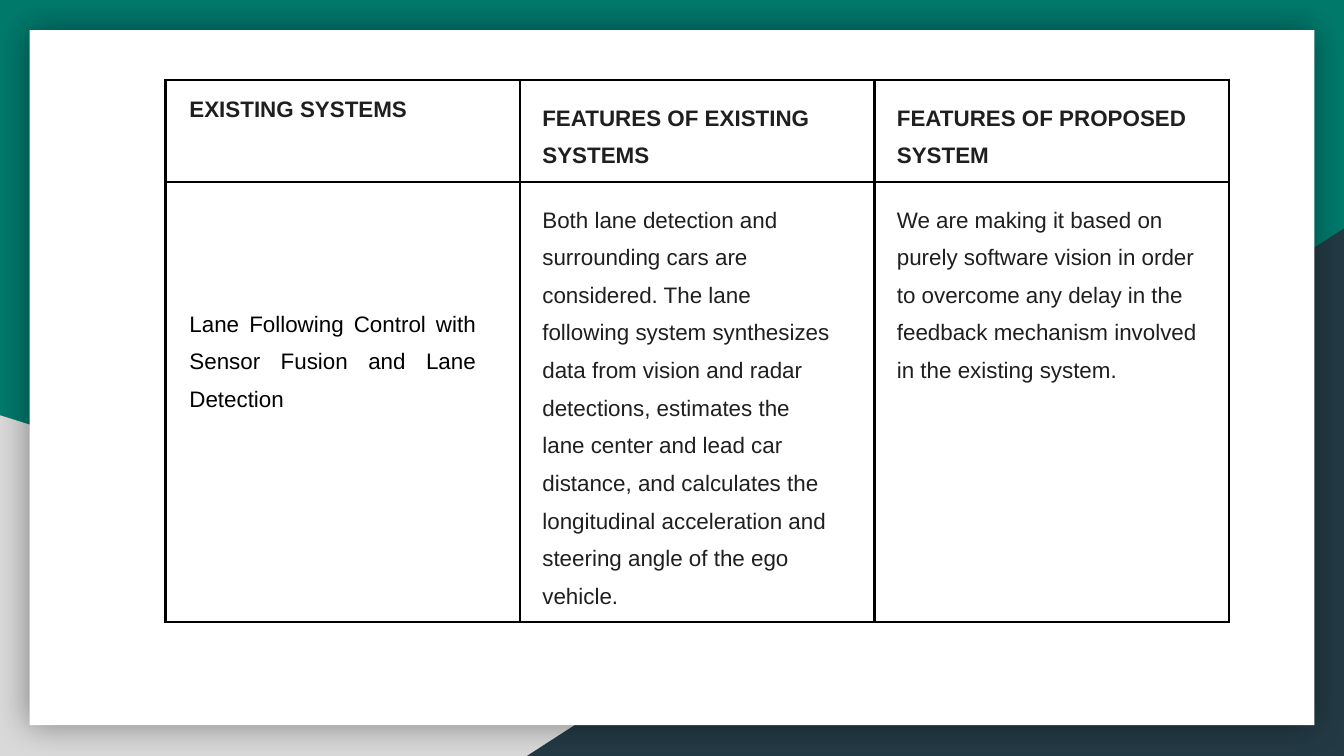
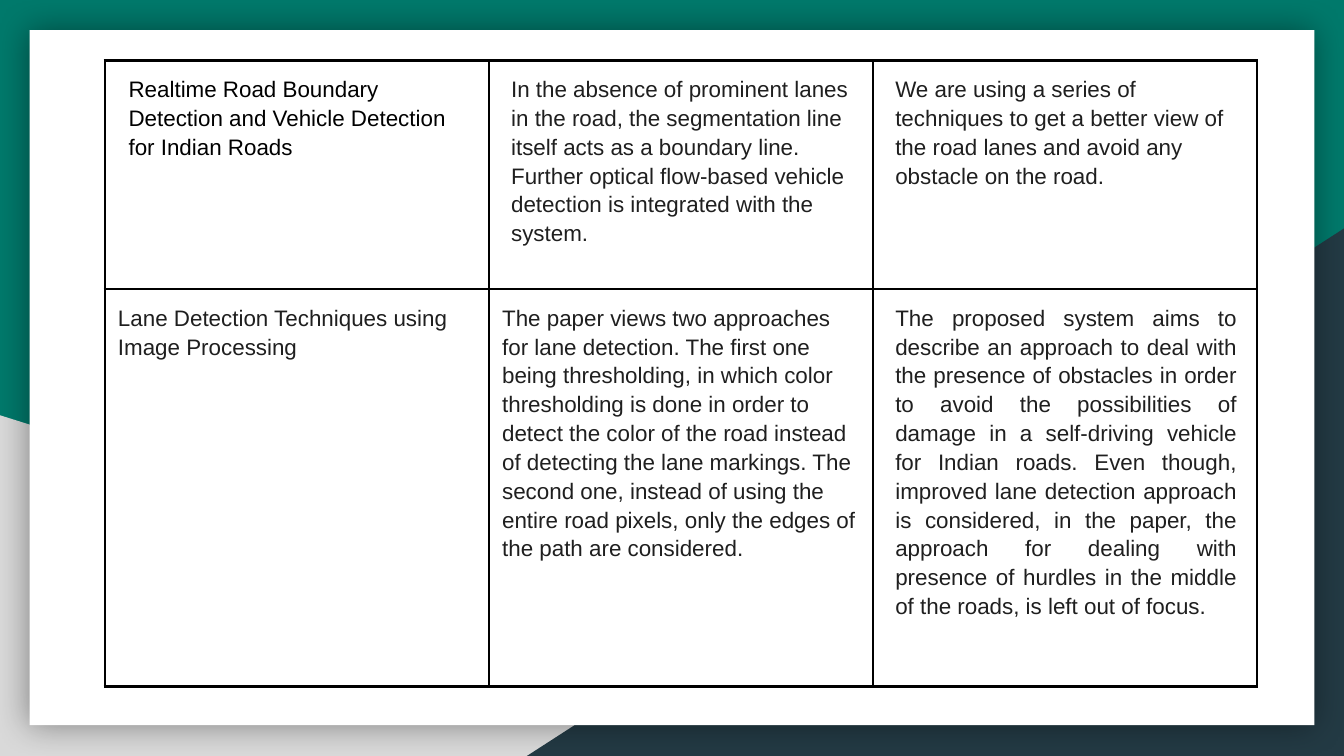
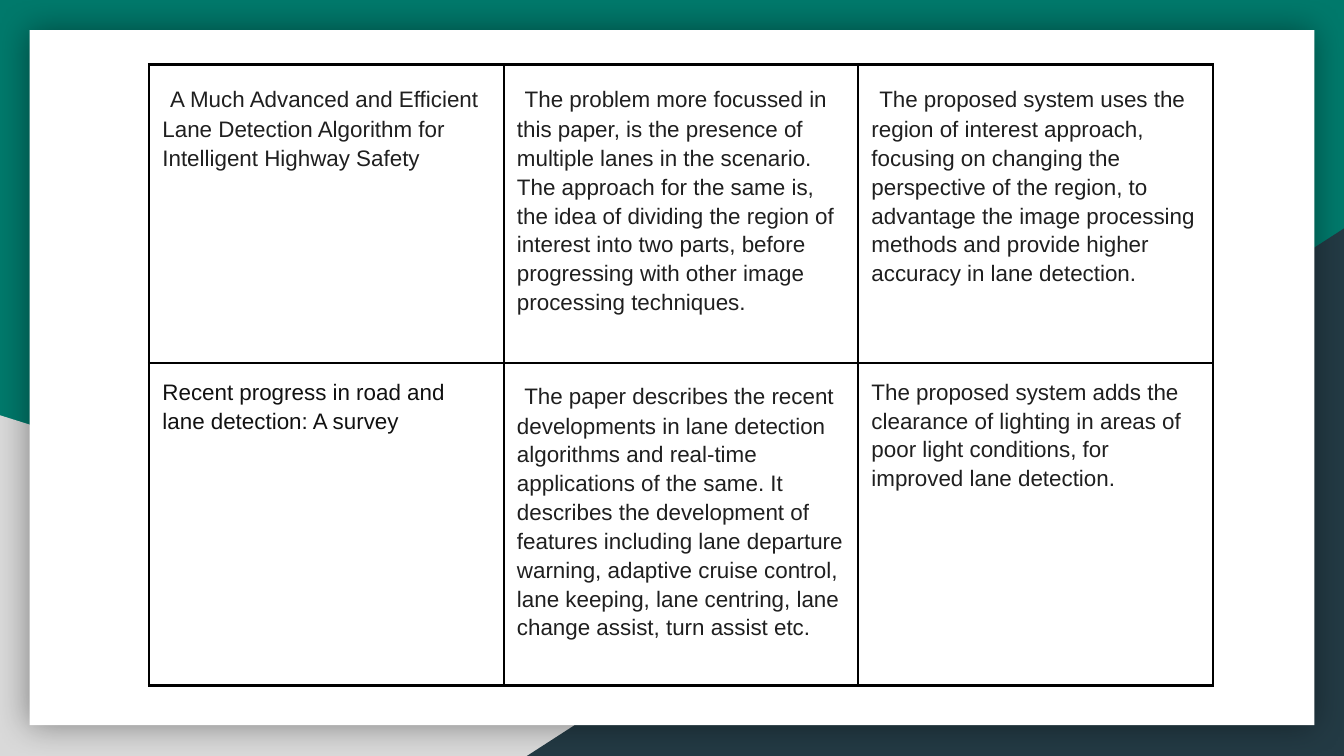
from lxml import etree
from pptx import Presentation
from pptx import util as u
from pptx.dml.color import RGBColor
from pptx.enum import shapes, text
from pptx.oxml.ns import qn

FONT = "Arial"
TEAL, SLATE, GREY, WHITE = "00796B", "233A44", "D9D9D9", "FFFFFF"
INK, BLACK, NEAR_BLACK = "1F1F1F", "000000", "111111"
SLIDE_W, SLIDE_H = 25.4, 14.29
INSET = 0.25
JUSTIFY = text.PP_ALIGN.JUSTIFY

# Each cell is its text and its format. Lengths are in centimetres.
TABLES = [
    dict(left=3.13, top=1.51, col_w=6.7, row_h=[1.93, 8.32], rows=[
        [("EXISTING SYSTEMS", dict(bold=True, indent=0.2)),
         ("FEATURES OF EXISTING SYSTEMS", dict(bold=True, indent=0.17, spacing=1.5)),
         ("FEATURES OF PROPOSED SYSTEM", dict(bold=True, indent=0.17, spacing=1.5))],
        [("Lane Following Control with Sensor Fusion and Lane Detection",
          dict(color=BLACK, indent=0.2, right=0.58, spacing=1.5, align=JUSTIFY, top=2.22)),
         ("Both lane detection and surrounding cars are considered. The lane following "
          "system synthesizes data from vision and radar detections, estimates the lane "
          "center and lead car distance, and calculates the longitudinal acceleration and "
          "steering angle of the ego vehicle.",
          dict(indent=0.17, right=0.56, spacing=1.5)),
         ("We are making it based on purely software vision in order to overcome any delay "
          "in the feedback mechanism involved in the existing system.",
          dict(indent=0.17, right=0.17, spacing=1.5))],
    ]),
    dict(left=1.98, top=1.14, col_w=7.26, row_h=[4.32, 7.52], rows=[
        [("Realtime Road Boundary Detection and Vehicle Detection for Indian Roads",
          dict(color=BLACK, indent=0.2, right=0.3)),
         ("In the absence of prominent lanes in the road, the segmentation line itself acts "
          "as a boundary line. Further optical flow-based vehicle detection is integrated "
          "with the system.", dict(indent=0.17)),
         ("We are using a series of techniques to get a better view of the road lanes and "
          "avoid any obstacle on the road.", dict(indent=0.17))],
        [("Lane Detection Techniques using Image Processing", {}),
         ("The paper views two approaches for lane detection. The first one being "
          "thresholding, in which color thresholding is done in order to detect the color "
          "of the road instead of detecting the lane markings. The second one, instead of "
          "using the entire road pixels, only the edges of the path are considered.", {}),
         ("The proposed system aims to describe an approach to deal with the presence of "
          "obstacles in order to avoid the possibilities of damage in a self-driving vehicle "
          "for Indian roads. Even though, improved lane detection approach is considered, in "
          "the paper, the approach for dealing with presence of hurdles in the middle of the "
          "roads, is left out of focus.", dict(indent=0.17, right=0.13, align=JUSTIFY))],
    ]),
    dict(left=2.82, top=1.22, col_w=6.7, row_h=[5.64, 6.1], rows=[
        [("A Much Advanced and Efficient Lane Detection Algorithm for Intelligent Highway "
          "Safety", dict(lead_size=15)),
         ("The problem more focussed in this paper, is the presence of multiple lanes in the "
          "scenario. The approach for the same is, the idea of dividing the region of "
          "interest into two parts, before progressing with other image processing "
          "techniques.", dict(lead_size=15)),
         ("The proposed system uses the region of interest approach, focusing on changing "
          "the perspective of the region, to advantage the image processing methods and "
          "provide higher accuracy in lane detection.", dict(lead_size=15))],
        [("Recent progress in road and lane detection: A survey", dict(color=NEAR_BLACK)),
         ("The paper describes the recent developments in lane detection algorithms and "
          "real-time applications of the same. It describes the development of features "
          "including lane departure warning, adaptive cruise control, lane keeping, lane "
          "centring, lane change assist, turn assist etc.", dict(lead_size=14)),
         ("The proposed system adds the clearance of lighting in areas of poor light "
          "conditions, for improved lane detection.", {})],
    ]),
]


def rgb(value):
    return RGBColor.from_string(value)


def add_run(p, content, size, color, bold):
    r = p.add_run()
    r.text = content
    r.font.name, r.font.size, r.font.bold = FONT, u.Pt(size), bold
    r.font.color.rgb = rgb(color)


def write_cell(cell, content, size=12, color=INK, bold=False, indent=0, right=0,
               spacing=1.15, align=text.PP_ALIGN.LEFT, top=INSET, lead_size=None):
    """Fill a cell; lead_size puts a space of that size before the first word."""
    cell.margin_left = cell.margin_right = cell.margin_bottom = u.Cm(INSET)
    cell.margin_top = u.Cm(top)
    p = cell.text_frame.paragraphs[0]
    p.alignment, p.line_spacing = align, spacing
    pPr = p._p.get_or_add_pPr()
    pPr.set("marL", str(u.Cm(indent)))
    pPr.set("marR", str(u.Cm(right)))
    if lead_size:
        add_run(p, " ", lead_size, BLACK, bold)
    add_run(p, content, size, color, bold)


def add_color(parent, value):
    return etree.SubElement(parent, qn("a:srgbClr"), val=value)


def add_borders(cell, color=BLACK, width=1.5):
    tcPr = cell._tc.get_or_add_tcPr()
    for i, side in enumerate(("a:lnL", "a:lnR", "a:lnT", "a:lnB")):
        ln = etree.Element(qn(side), w=str(u.Pt(width)))
        add_color(etree.SubElement(ln, qn("a:solidFill")), color)
        tcPr.insert(i, ln)


def add_block(slide, kind, left, top, width, height, color):
    sp = slide.shapes.add_shape(kind, u.Cm(left), u.Cm(top), u.Cm(width), u.Cm(height))
    sp.shadow.inherit = False
    sp.fill.solid()
    sp.fill.fore_color.rgb = rgb(color)
    sp.line.fill.background()
    return sp


def add_glow_shadow(sp, blur=18, opacity=40):
    effects = sp._element.spPr.find(qn("a:effectLst"))
    shadow = etree.SubElement(effects, qn("a:outerShdw"), blurRad=str(u.Pt(blur)),
                              dist="0", dir="0", algn="ctr", rotWithShape="0")
    etree.SubElement(add_color(shadow, BLACK), qn("a:alpha"), val=str(opacity * 1000))


def add_backdrop(slide):
    """Teal ground, two corner triangles and the white card."""
    slide.background.fill.solid()
    slide.background.fill.fore_color.rgb = rgb(TEAL)
    triangle = shapes.MSO_SHAPE.RIGHT_TRIANGLE
    add_block(slide, triangle, 0, SLIDE_H - 6.44, 20.46, 6.44, GREY)
    corner = add_block(slide, triangle, SLIDE_W - 15.44, SLIDE_H - 9.97, 15.44, 9.97, SLATE)
    corner._element.spPr.xfrm.set("flipH", "1")
    card = add_block(slide, shapes.MSO_SHAPE.RECTANGLE, 0.56, 0.57, SLIDE_W - 1.12, 13.14, WHITE)
    add_glow_shadow(card)


def add_comparison(slide, left, top, col_w, row_h, rows):
    n_cols = len(rows[0])
    table = slide.shapes.add_table(len(rows), n_cols, u.Cm(left), u.Cm(top),
                                   u.Cm(col_w * n_cols), u.Cm(sum(row_h))).table
    table.first_row = table.horz_banding = False
    for col in table.columns:
        col.width = u.Cm(col_w)
    for i, (height, row) in enumerate(zip(row_h, rows)):
        table.rows[i].height = u.Cm(height)
        for j, (content, fmt) in enumerate(row):
            cell = table.cell(i, j)
            cell.fill.background()
            add_borders(cell)
            write_cell(cell, content, **fmt)


def main():
    prs = Presentation()
    prs.slide_width, prs.slide_height = u.Cm(SLIDE_W), u.Cm(SLIDE_H)
    for comparison in TABLES:
        slide = prs.slides.add_slide(prs.slide_layouts[6])
        add_backdrop(slide)
        add_comparison(slide, **comparison)
    prs.save("out.pptx")


if __name__ == "__main__":
    main()
